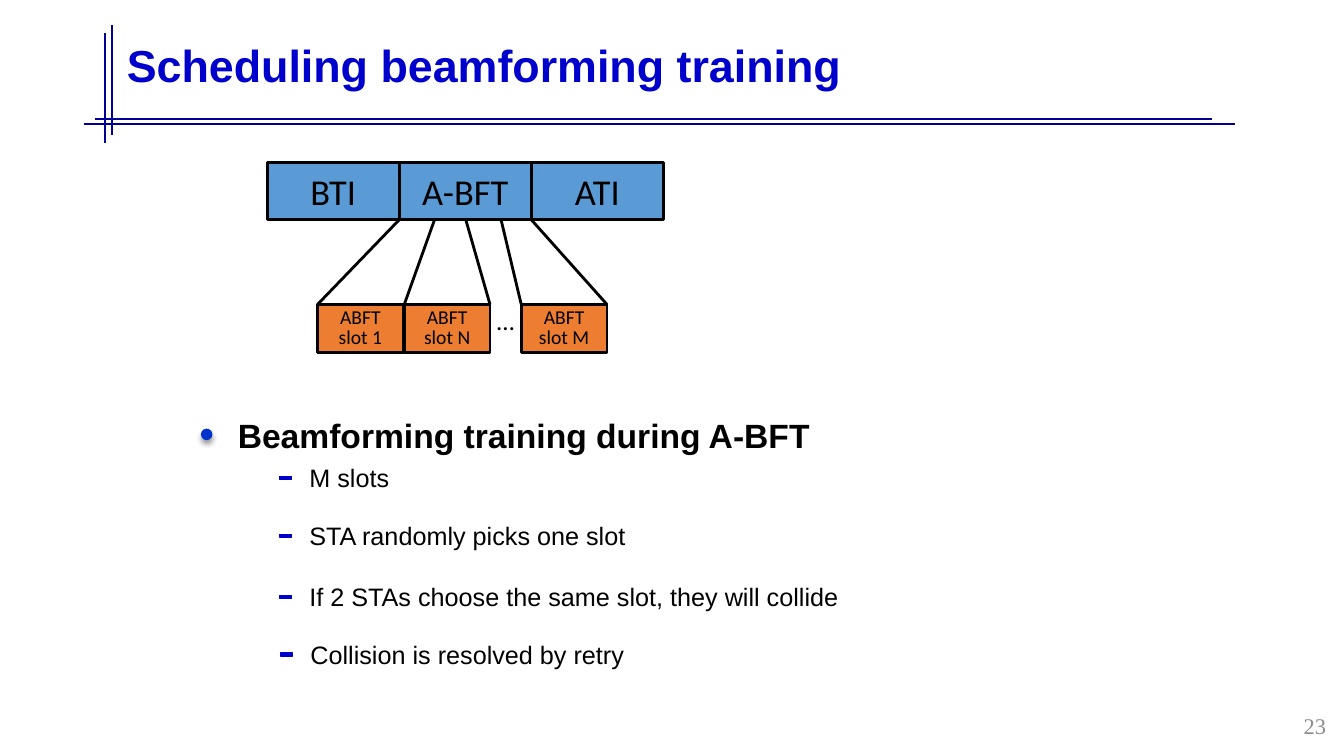
from dataclasses import dataclass

from lxml import etree
from pptx import Presentation
from pptx import util as u
from pptx.dml.color import RGBColor
from pptx.enum import shapes, text
from pptx.oxml import ns

COLORS = {
    "rule": "000099", "title": "0000CC", "bullet": "0033CC", "dash": "0000CC",
    "interval": "5B9BD5", "slot": "ED7D31", "black": "000000", "number": "8C8C8C",
}
RECTANGLE = shapes.MSO_SHAPE.RECTANGLE
OVAL = shapes.MSO_SHAPE.OVAL


@dataclass
class Style:
    font: str
    size: float
    color: str = "black"
    bold: bool = False
    align: text.PP_ALIGN = text.PP_ALIGN.LEFT
    anchor: text.MSO_ANCHOR = text.MSO_ANCHOR.TOP
    line_spacing: float | u.Pt | None = None


@dataclass
class Box:
    left: float
    top: float
    width: float
    height: float

    def lengths(self) -> list[u.Inches]:
        return [u.Inches(v) for v in (self.left, self.top, self.width, self.height)]


@dataclass
class Line:
    x1: float
    y1: float
    x2: float
    y2: float


@dataclass
class Item:
    label: str
    left: float
    top: float
    width: float


CENTER, MIDDLE = text.PP_ALIGN.CENTER, text.MSO_ANCHOR.MIDDLE
TITLE = Style("Arial", 32, "title", bold=True, anchor=MIDDLE, line_spacing=0.9)
NUMBER = Style("Times New Roman", 16, "number", align=text.PP_ALIGN.RIGHT, anchor=MIDDLE)
INTERVAL = Style("Calibri", 26, align=CENTER, anchor=MIDDLE)
SLOT = Style("Calibri", 14, align=CENTER, anchor=MIDDLE, line_spacing=u.Pt(14))
ELLIPSIS = Style("Calibri", 18)
HEADING = Style("Arial", 24, bold=True)
ITEM = Style("Arial", 18)

RULES = [
    Line(0.94, 1.18, 12.02, 1.18), Line(0.83, 1.23, 12.25, 1.23),
    Line(1.04, 0.33, 1.04, 1.42), Line(1.11, 0.25, 1.11, 1.34),
]
INTERVALS = ["BTI", "A-BFT", "ATI"]
INTERVAL_BOX = Box(2.65, 1.61, 1.31, 0.57)
SLOTS = {"ABFT slot 1": 3.15, "ABFT slot N": 4.01, "ABFT slot M": 5.17}
SLOT_TOP, SLOT_WIDTH, SLOT_HEIGHT = 3.02, 0.85, 0.48
# Bottom of the A-BFT interval to the top corners of the slots
FAN = {3.96: 3.15, 4.31: 4.01, 4.62: 4.86, 4.97: 5.17, 5.27: 6.02}
ITEMS = [
    Item("M slots", 2.77, 4.54, 5.01),
    Item("STA randomly picks one slot", 2.77, 5.11, 5.01),
    Item("If 2 STAs choose the same slot, they will collide", 2.77, 5.72, 5.72),
    Item("Collision is resolved by retry", 2.78, 6.29, 5.72),
]


def color(name: str) -> RGBColor:
    return RGBColor.from_string(COLORS[name])


def write(shape, words: str, style: Style, wrap: bool = True) -> None:
    frame = shape.text_frame
    frame.text = words
    frame.word_wrap = wrap
    frame.vertical_anchor = style.anchor
    paragraph = frame.paragraphs[0]
    paragraph.alignment = style.align
    paragraph.line_spacing = style.line_spacing
    font = paragraph.runs[0].font
    font.name, font.size, font.bold = style.font, u.Pt(style.size), style.bold
    font.color.rgb = color(style.color)


def add_text(slide, box: Box, words: str, style: Style, wrap: bool = True) -> None:
    write(slide.shapes.add_textbox(*box.lengths()), words, style, wrap)


def add_block(slide, box: Box, fill: str, outline: str, width: float, kind=RECTANGLE):
    shape = slide.shapes.add_shape(kind, *box.lengths())
    shape.shadow.inherit = False
    shape.fill.solid()
    shape.fill.fore_color.rgb = color(fill)
    shape.line.color.rgb = color(outline)
    shape.line.width = u.Pt(width)
    return shape


def add_line(slide, line: Line, name: str, width: float) -> None:
    ends = [u.Inches(v) for v in (line.x1, line.y1, line.x2, line.y2)]
    connector = slide.shapes.add_connector(shapes.MSO_CONNECTOR.STRAIGHT, *ends)
    connector.line.color.rgb = color(name)
    connector.line.width = u.Pt(width)
    etree.SubElement(connector._element.spPr, ns.qn("a:effectLst"))


def add_shadow(shape) -> None:
    effects = shape._element.spPr.find(ns.qn("a:effectLst"))
    shadow = etree.SubElement(
        effects, ns.qn("a:outerShdw"), blurRad=str(u.Pt(4)), dist=str(u.Pt(3)),
        dir=str(90 * 60000), rotWithShape="0")
    shade = etree.SubElement(shadow, ns.qn("a:srgbClr"), val=COLORS["black"])
    etree.SubElement(shade, ns.qn("a:alpha"), val="40000")


def draw_header(slide) -> None:
    for rule in RULES:
        add_line(slide, rule, "rule", 1.75)
    add_text(slide, Box(1.16, 0.05, 12, 1.25), "Scheduling beamforming training", TITLE)
    add_text(slide, Box(12.65, 7.02, 0.6, 0.36), "23", NUMBER)


def draw_timeline(slide) -> None:
    first = INTERVAL_BOX
    for index, label in enumerate(INTERVALS):
        box = Box(first.left + index * first.width, first.top, first.width, first.height)
        write(add_block(slide, box, "interval", "black", 2), label, INTERVAL)
    for label, left in SLOTS.items():
        box = Box(left, SLOT_TOP, SLOT_WIDTH, SLOT_HEIGHT)
        write(add_block(slide, box, "slot", "black", 2), label, SLOT)
    for start, end in FAN.items():
        add_line(slide, Line(start, first.top + first.height, end, SLOT_TOP), "black", 2)
    add_text(slide, Box(4.83, 2.98, 0.38, 0.4), "…", ELLIPSIS, wrap=False)


def draw_list(slide) -> None:
    add_shadow(add_block(slide, Box(2, 4.26, 0.1, 0.1), "bullet", "bullet", 1, OVAL))
    add_text(slide, Box(2.26, 4.07, 8.65, 0.5), "Beamforming training during A-BFT", HEADING)
    for item in ITEMS:
        add_block(slide, Box(item.left, item.top + 0.19, 0.12, 0.03), "dash", "dash", 1)
        add_text(slide, Box(item.left + 0.2, item.top, item.width, 0.4), item.label, ITEM)


def main() -> None:
    presentation = Presentation()
    presentation.slide_width = u.Inches(13.33)
    presentation.slide_height = u.Inches(7.5)
    slide = presentation.slides.add_slide(presentation.slide_layouts[6])
    draw_header(slide)
    draw_timeline(slide)
    draw_list(slide)
    presentation.save("out.pptx")


if __name__ == "__main__":
    main()
